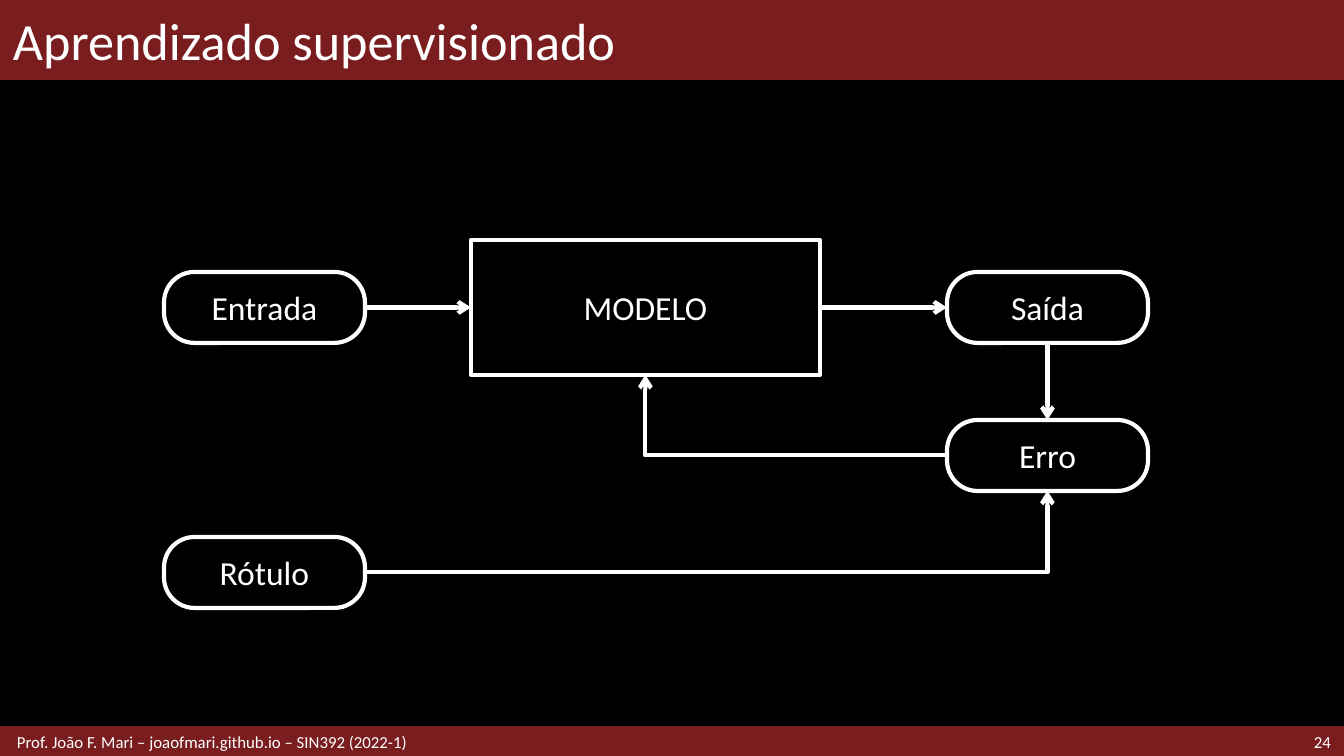
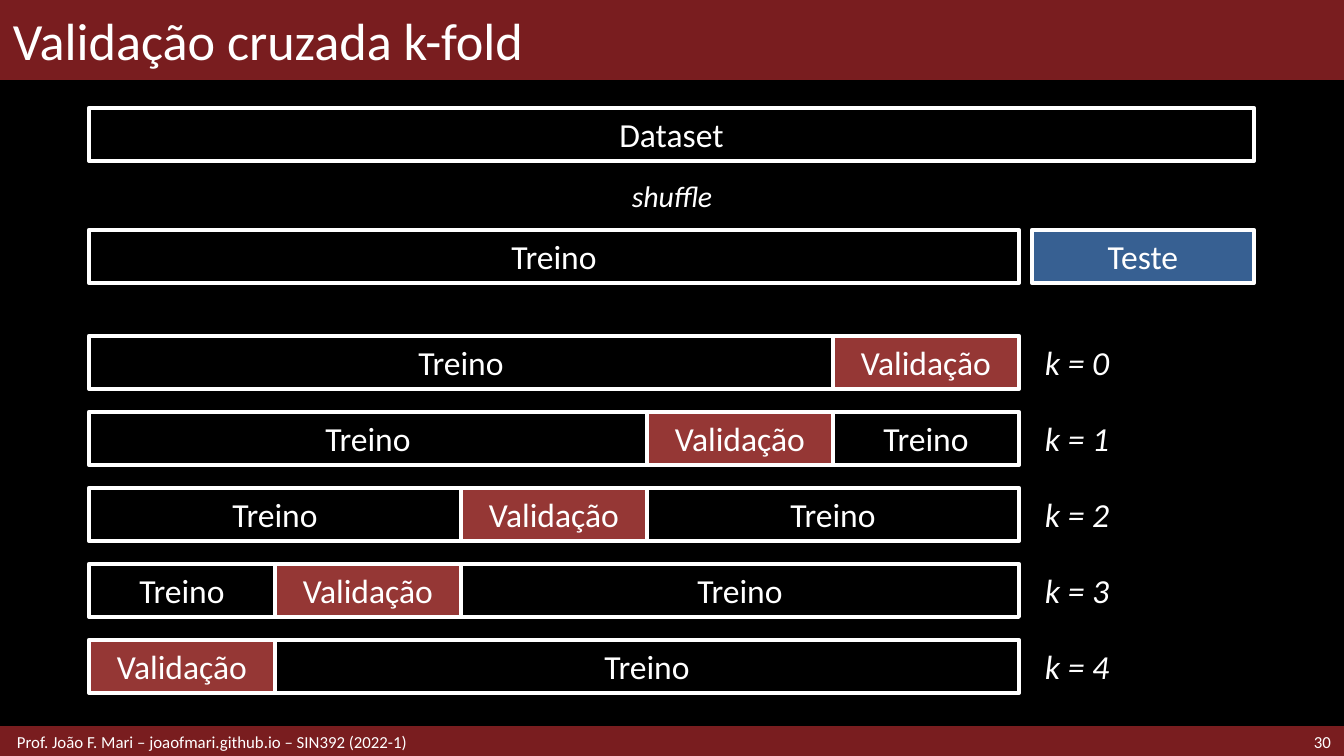
"""Build two lecture slides: a supervised learning diagram and k-fold cross-validation."""
from dataclasses import dataclass

from lxml import etree
from pptx import Presentation
from pptx import util as u
from pptx.dml.color import RGBColor
from pptx.enum import shapes, text
from pptx.oxml import ns

WIDTH, HEIGHT = 1344, 756
SCALE = 914400 / 134.4


@dataclass(frozen=True)
class Theme:
    """Colours, font and sizes shared by the slides."""
    background: str = "000000"
    ink: str = "FFFFFF"
    band: str = "791D1F"
    test: str = "376092"
    validation: str = "953735"
    font: str = "Calibri"
    title: int = 28
    body: int = 18
    aside: int = 16
    footer: int = 9
    stroke: float = 2.25


THEME = Theme()
FOOTER = "Prof. João F. Mari – joaofmari.github.io – SIN392 (2022-1)"
TITLE_HEIGHT = 79
FOOTER_TOP, FOOTER_HEIGHT = 728, 28
INSET, FOOTER_INSET = 13, 17

TOP, LEFT, BOTTOM, RIGHT = range(4)
NODE_WIDTH, NODE_HEIGHT = 201, 71
MODEL = ("MODELO", (471, 240, 349, 135))
NODES = [("Entrada", 164, 272), ("Saída", 947, 272), ("Erro", 947, 420), ("Rótulo", 164, 537)]
ARROWS = [
    ("Entrada", RIGHT, "MODELO", LEFT),
    ("MODELO", RIGHT, "Saída", LEFT),
    ("Erro", LEFT, "MODELO", BOTTOM),
    ("Rótulo", RIGHT, "Erro", BOTTOM),
    ("Saída", BOTTOM, "Erro", TOP),
]

FOLDS, FOLD_WIDTH = 5, 186
BAR_LEFT, BAR_HEIGHT = 89, 53
DATASET_TOP, SPLIT_TOP = 108, 230
FOLDS_TOP, FOLD_PITCH = 336, 76
TEST_LEFT, TEST_WIDTH = 1032, 222


def px(length):
    """Turn px into EMU."""
    return u.Emu(round(length * SCALE))


def color(code):
    """Turn a hex code into a colour."""
    return RGBColor.from_string(code)


def write(shape, words, size, align=text.PP_ALIGN.CENTER, italic=False):
    """Put one styled, vertically centred paragraph in a shape."""
    frame = shape.text_frame
    frame.text = words
    frame.word_wrap = True
    frame.vertical_anchor = text.MSO_ANCHOR.MIDDLE
    para = frame.paragraphs[0]
    para.alignment = align
    for span in para.runs:
        span.font.name = THEME.font
        span.font.size = u.Pt(size)
        span.font.italic = italic
        span.font.color.rgb = color(THEME.ink)


def add_label(page, words, place, size, align=text.PP_ALIGN.LEFT, italic=False, inset=INSET):
    """Add a text box without vertical margins."""
    box = page.shapes.add_textbox(*map(px, place))
    write(box, words, size, align, italic)
    frame = box.text_frame
    frame.margin_left = frame.margin_right = px(inset)
    frame.margin_top = frame.margin_bottom = 0
    return box


def add_block(page, place, fill=None, line=THEME.ink, weight=THEME.stroke,
              kind=shapes.MSO_SHAPE.RECTANGLE):
    """Add an outlined shape, filled on request."""
    block = page.shapes.add_shape(kind, *map(px, place))
    block.shadow.inherit = False
    if fill:
        block.fill.solid()
        block.fill.fore_color.rgb = color(fill)
    else:
        block.fill.background()
    block.line.color.rgb = color(line)
    block.line.width = u.Pt(weight)
    return block


def add_bar(page, words, left, top, width, fill=None):
    """Add a labelled bar of data."""
    write(add_block(page, (left, top, width, BAR_HEIGHT), fill), words, THEME.body)


def add_arrow(page, start, start_side, end, end_side):
    """Join two shapes by an arrow that bends when their sides are not parallel."""
    bent = start_side % 2 != end_side % 2
    kind = shapes.MSO_CONNECTOR.ELBOW if bent else shapes.MSO_CONNECTOR.STRAIGHT
    arrow = page.shapes.add_connector(kind, 0, 0, 0, 0)
    arrow.begin_connect(start, start_side)
    arrow.end_connect(end, end_side)
    arrow.line.color.rgb = color(THEME.ink)
    arrow.line.width = u.Pt(THEME.stroke)
    properties = arrow.element.spPr
    if bent:
        properties.find(ns.qn("a:prstGeom")).set("prst", "bentConnector2")
    etree.SubElement(properties.find(ns.qn("a:ln")), ns.qn("a:tailEnd"), type="arrow")
    etree.SubElement(properties, ns.qn("a:effectLst"))


def add_page(deck, title, number):
    """Add a slide with its title band and footer."""
    page = deck.slides.add_slide(deck.slide_layouts[6])
    page.background.fill.solid()
    page.background.fill.fore_color.rgb = color(THEME.background)
    title_place = (0, 0, WIDTH, TITLE_HEIGHT)
    add_block(page, title_place, THEME.band, THEME.band, 1)
    add_block(page, (0, FOOTER_TOP, WIDTH, FOOTER_HEIGHT), THEME.band, THEME.band, 2)
    add_label(page, title, title_place, THEME.title)
    add_label(page, str(number), (1191, FOOTER_TOP, 153, FOOTER_HEIGHT), THEME.footer,
              text.PP_ALIGN.RIGHT)
    add_label(page, FOOTER, (0, FOOTER_TOP, 926, FOOTER_HEIGHT), THEME.footer,
              inset=FOOTER_INSET)
    return page


def add_supervised(deck):
    """Draw the supervised learning loop."""
    page = add_page(deck, "Aprendizado supervisionado", 24)
    name, place = MODEL
    blocks = {name: add_block(page, place)}
    for name, left, top in NODES:
        blocks[name] = add_block(page, (left, top, NODE_WIDTH, NODE_HEIGHT),
                                 kind=shapes.MSO_SHAPE.ROUNDED_RECTANGLE)
        blocks[name].adjustments[0] = 0.43
    for name, block in blocks.items():
        write(block, name, THEME.body)
    for start, start_side, end, end_side in ARROWS:
        add_arrow(page, blocks[start], start_side, blocks[end], end_side)


def add_k_fold(deck):
    """Draw the data split and the validation fold of each round."""
    page = add_page(deck, "Validação cruzada k-fold", 30)
    add_bar(page, "Dataset", BAR_LEFT, DATASET_TOP, TEST_LEFT + TEST_WIDTH - BAR_LEFT)
    shuffle = add_label(page, "shuffle", (617, 171, 110, 50), THEME.aside,
                        text.PP_ALIGN.CENTER, italic=True)
    shuffle.text_frame.word_wrap = False
    add_bar(page, "Treino", BAR_LEFT, SPLIT_TOP, FOLDS * FOLD_WIDTH)
    add_bar(page, "Teste", TEST_LEFT, SPLIT_TOP, TEST_WIDTH, THEME.test)
    for k in range(FOLDS):
        top = FOLDS_TOP + k * FOLD_PITCH
        before = FOLDS - 1 - k
        parts = [("Treino", 0, before, None),
                 ("Treino", before + 1, k, None),
                 ("Validação", before, 1, THEME.validation)]
        for words, first, count, fill in parts:
            if count:
                add_bar(page, words, BAR_LEFT + first * FOLD_WIDTH, top,
                        count * FOLD_WIDTH, fill)
        add_label(page, f"k = {k}", (TEST_LEFT, top, TEST_WIDTH, BAR_HEIGHT), THEME.body,
                  italic=True)


def main():
    """Build and save the deck."""
    deck = Presentation()
    deck.slide_width, deck.slide_height = px(WIDTH), px(HEIGHT)
    add_supervised(deck)
    add_k_fold(deck)
    deck.save("out.pptx")


if __name__ == "__main__":
    main()
